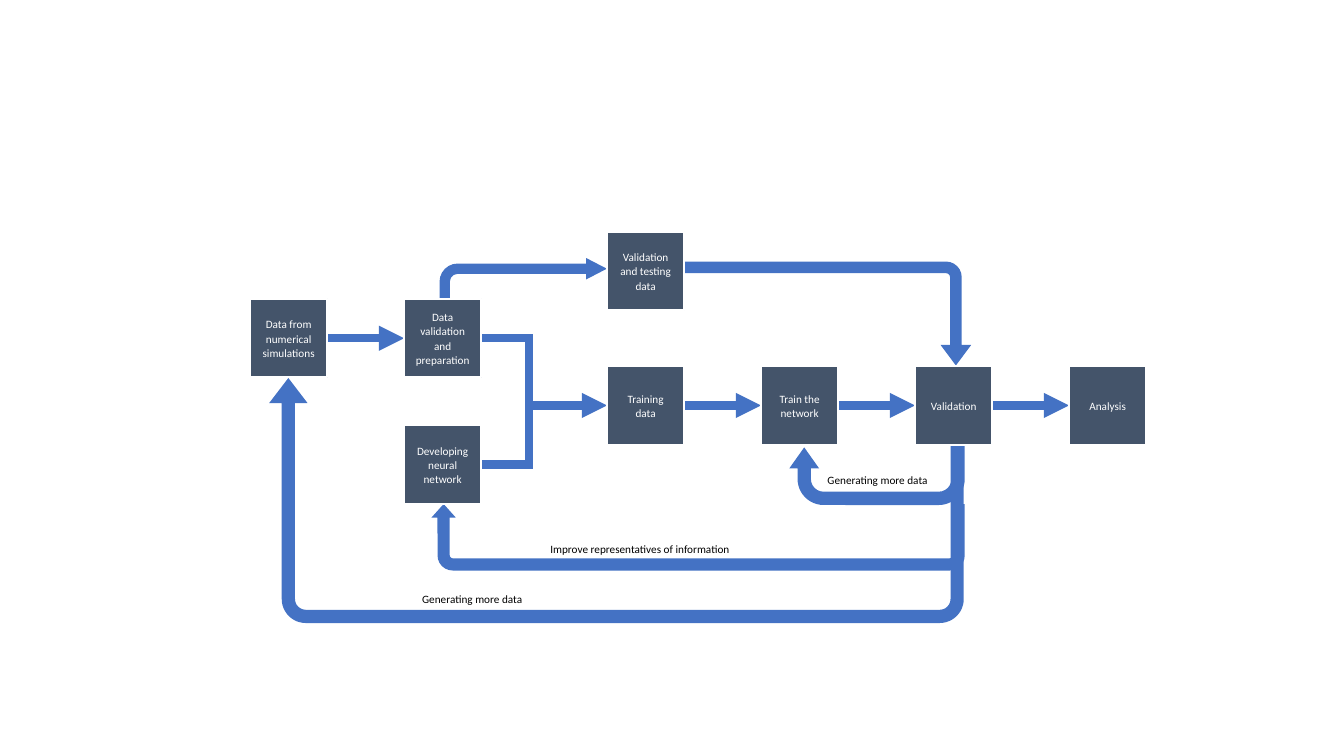
"""Draw the flow chart of a neural network study with its feedback loops."""
from pptx import Presentation
from pptx.util import Pt
from pptx.dml.color import RGBColor as Rgb
from pptx.enum.shapes import MSO_SHAPE as Shape, MSO_CONNECTOR as Link
from pptx.enum.text import MSO_ANCHOR as Anchor, PP_ALIGN as Align
from pptx.oxml.ns import qn
from lxml.etree import SubElement as sub

HUES = {"box": "44546A", "flow": "4472C4", "light": "FFFFFF", "dark": "000000"}
SIDE, TALL, STEP = 55.2, 56, 110
SPLIT = 255
ROWS = {"test": 0, "prep": 48, "train": 96, "net": 138.2}


def hue(name):
    return Rgb.from_string(HUES[name])


def write(frame, text, size=8, color="dark", align=Align.LEFT,
          anchor=Anchor.TOP, space=1.0, after=0):
    frame.word_wrap = True
    frame.vertical_anchor = anchor
    par = frame.paragraphs[0]
    par.alignment, par.line_spacing, par.space_after = align, space, Pt(after)
    run = par.add_run()
    run.text = text
    run.font.name, run.font.size = "Calibri", Pt(size)
    run.font.color.rgb = hue(color)


def solid(slide, kind, left, top, wide, high, color):
    shape = slide.shapes.add_shape(kind, Pt(left), Pt(top), Pt(wide), Pt(high))
    shape.shadow.inherit = False
    shape.fill.solid()
    shape.fill.fore_color.rgb = hue(color)
    shape.line.fill.background()
    return shape


def join(slide, start, end, head=True, bend=None):
    kind = Link.STRAIGHT if bend is None else Link.ELBOW
    link = slide.shapes.add_connector(kind, *map(Pt, start + end))
    link.line.width = Pt(6)
    link.line.color.rgb = hue("flow")
    props = link._element.spPr
    line = props.find(qn("a:ln"))
    sub(line, qn("a:miter"), lim="800000")
    if head:
        sub(line, qn("a:tailEnd"), type="triangle")
    sub(props, qn("a:effectLst"))
    if bend is not None:
        guides = props.find(qn("a:prstGeom")).get_or_add_avLst()
        sub(guides, qn("a:gd"), name="adj1", fmla=f"val {round(bend * 100000)}")


def links(slide, left, top):
    """Place the straight and elbow links between the steps."""
    mid = {name: top + y + TALL / 2 for name, y in ROWS.items()}
    edge = left + STEP + SIDE
    join(slide, (edge, mid["prep"]), (left + SPLIT, mid["train"]), bend=0.38)
    join(slide, (edge, mid["net"]), (left + 233.2, mid["train"]),
         head=False, bend=0.5)
    join(slide, (left + SIDE, mid["prep"]), (left + STEP, mid["prep"]))
    for col in range(3):
        x = left + SPLIT + col * STEP
        join(slide, (x + SIDE, mid["train"]), (x + STEP, mid["train"]))


def bends(slide, left, top):
    """Place the bent arrows and the three feedback loops."""
    turn, loop = Shape.BENT_ARROW, Shape.U_TURN_ARROW
    for kind, x, y, wide, high, spin, tune in (
        (turn, 135.4, 18.7, 119.5, 29.5, 0, (0.25, 0.259, 0.5, 0.438)),
        (turn, 375.8, -43.9, 74.2, 204.5, 90, (0.112, 0.148, 0.198, 0.15)),
        (loop, 385.2, 152.6, 125.3, 42.5, 180, (0.224, 0.25, 0.353, 0.438, 0.969)),
        (loop, 13.7, 104.4, 496.1, 175, 180, (0.054, 0.078, 0.102, 0.098, 1)),
        (loop, 129.6, 194.4, 380.9, 47.5, 180, (0.184, 0.182, 0.203, 0.227, 1)),
    ):
        shape = solid(slide, kind, left + x, top + y, wide, high, "flow")
        shape.rotation = spin
        for spot, value in enumerate(tune):
            shape.adjustments[spot] = value


def steps(slide, left, top):
    """Place the boxes on their columns and rows."""
    for text, x, row in (
        ("Data from numerical simulations", 0, "prep"),
        ("Data validation and preparation", STEP, "prep"),
        ("Developing neural network", STEP, "net"),
        ("Validation and testing data", SPLIT, "test"),
        ("Training data", SPLIT, "train"),
        ("Train the network", SPLIT + STEP, "train"),
        ("Validation", SPLIT + 2 * STEP, "train"),
        ("Analysis", SPLIT + 3 * STEP, "train"),
    ):
        shape = solid(slide, Shape.RECTANGLE, left + x, top + ROWS[row],
                      SIDE, TALL, "box")
        shape.line.color.rgb = hue("light")
        shape.line.width = Pt(1.5)
        write(shape.text_frame, text, color="light", align=Align.CENTER,
              anchor=Anchor.MIDDLE, space=1.07, after=8)


def notes(slide, left, top):
    """Place the words above the feedback loops."""
    for text, x, y, wide in (
        ("Improve representatives of information", 207.4, 218.2, 177),
        ("Generating more data", 115.9, 254.2, 158.4),
        ("Generating more data", 405.4, 169.2, 158.4),
    ):
        box = slide.shapes.add_textbox(Pt(left + x), Pt(top + y), Pt(wide), Pt(17.3))
        write(box.text_frame, text)


deck = Presentation()
deck.slide_width, deck.slide_height = Pt(960), Pt(540)
page = deck.slides.add_slide(deck.slide_layouts[6])
for part in (links, bends, steps, notes):
    part(page, 178.6, 165.6)
deck.save("out.pptx")
